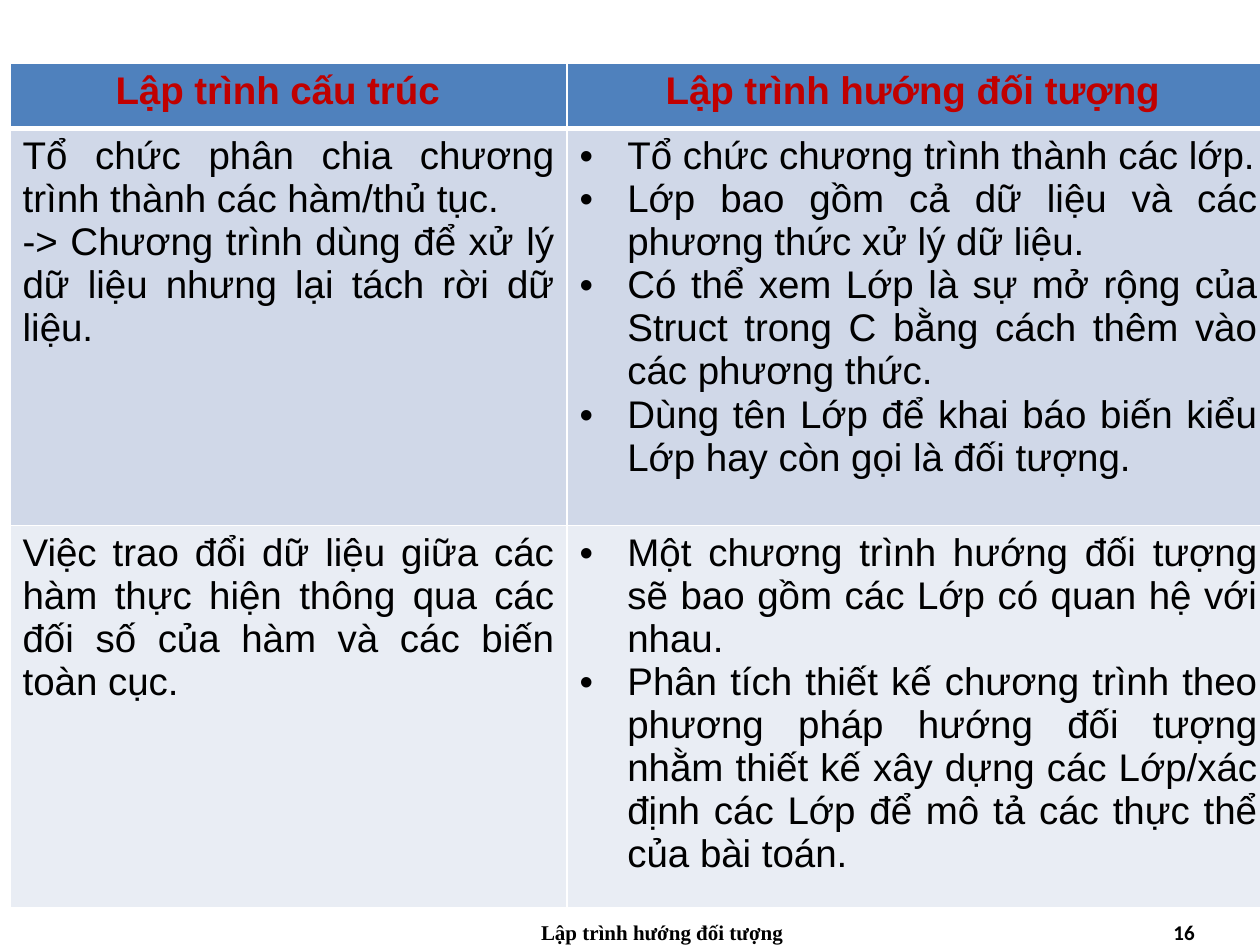
"""Build a slide comparing structured and object-oriented programming."""
import pptx
import pptx.dml.color
import pptx.enum.text
import pptx.oxml
import pptx.oxml.ns
import pptx.util
from dataclasses import dataclass

Inches = pptx.util.Inches
Pt = pptx.util.Pt
RGB = pptx.dml.color.RGBColor.from_string
ALIGN = pptx.enum.text.PP_ALIGN


@dataclass(frozen=True)
class Theme:
    font: str = "Arial"
    footer_font: str = "Times New Roman"
    number_font: str = "Calibri"
    text: str = "000000"
    heading: str = "C00000"
    border: str = "FFFFFF"
    fills: tuple = ("4F81BD", "D0D8E8", "E9EDF4")
    body_size: int = 22
    footer_size: int = 12


THEME = Theme()


def add_run(p, text, font, size, color, bold):
    r = p.add_run()
    r.text = text
    r.font.name = font
    r.font.size = Pt(size)
    r.font.bold = bold
    r.font.color.rgb = RGB(color)


def add_element(parent, xml):
    ns = pptx.oxml.ns.nsdecls("a")
    tag, rest = xml.split(" ", 1)
    parent.append(pptx.oxml.parse_xml(f"<{tag} {ns} {rest}"))


headings = ["Lập trình cấu trúc", "Lập trình hướng đối tượng"]
heading_margins = [0.27, 0.19]
rows = [
    [
        [
            "Tổ chức phân chia chương trình thành các hàm/thủ tục.",
            "-> Chương trình dùng để xử lý dữ liệu nhưng lại tách rời dữ liệu.",
        ],
        [
            "Tổ chức chương trình thành các lớp.",
            "Lớp bao gồm cả dữ liệu và các phương thức xử lý dữ liệu.",
            "Có thể xem Lớp là sự mở rộng của Struct trong C bằng cách thêm vào các phương thức.",
            "Dùng tên Lớp để khai báo biến kiểu Lớp hay còn gọi là đối tượng.",
        ],
    ],
    [
        [
            "Việc trao đổi dữ liệu giữa các hàm thực hiện thông qua các đối số của hàm và các biến toàn cục.",
        ],
        [
            "Một chương trình hướng đối tượng sẽ bao gồm các Lớp có quan hệ với nhau.",
            "Phân tích thiết kế chương trình theo phương pháp hướng đối tượng nhằm thiết kế xây dựng các Lớp/xác định các Lớp để mô tả các thực thể của bài toán.",
        ],
    ],
]
grid = [[[h] for h in headings]] + rows

prs = pptx.Presentation()
prs.slide_width = Inches(10)
prs.slide_height = Inches(7.5)
s = prs.slides.add_slide(prs.slide_layouts[6])

footers = [
    (3.67, 3.17, "Lập trình hướng đối tượng", ALIGN.CENTER, THEME.footer_font),
    (7.25, 2.33, "16", ALIGN.RIGHT, THEME.number_font),
]
for left, width, text, align, font in footers:
    sp = s.shapes.add_textbox(Inches(left), Inches(7.25), Inches(width), Inches(0.25))
    tf = sp.text_frame
    tf.word_wrap = True
    p = tf.paragraphs[0]
    p.alignment = align
    add_run(p, text, font, THEME.footer_size, THEME.text, True)

table = s.shapes.add_table(
    len(grid), len(headings), Inches(0.08), Inches(0.5), Inches(10), Inches(6.59)
).table
for column, width in zip(table.columns, (4.42, 5.58)):
    column.width = Inches(width)
for row, height in zip(table.rows, (0.52, 3.15, 2.92)):
    row.height = Inches(height)

for i, row in enumerate(grid):
    is_header = i == 0
    for j, texts in enumerate(row):
        cell = table.cell(i, j)
        tcPr = cell._tc.get_or_add_tcPr()
        for side in "LRTB":
            thick = (is_header and side == "B") or (i == 1 and side == "T")
            add_element(
                tcPr,
                f'a:ln{side} w="{Pt(3 if thick else 1)}"><a:solidFill>'
                f'<a:srgbClr val="{THEME.border}"/></a:solidFill></a:ln{side}>',
            )
        cell.fill.solid()
        cell.fill.fore_color.rgb = RGB(THEME.fills[i])
        if is_header:
            cell.margin_right = Inches(heading_margins[j])
        tf = cell.text_frame
        for k, text in enumerate(texts):
            p = tf.add_paragraph() if k else tf.paragraphs[0]
            p.alignment = ALIGN.CENTER if is_header else ALIGN.JUSTIFY
            if j == 1 and not is_header:
                pPr = p._p.get_or_add_pPr()
                pPr.set("marL", str(Inches(0.38)))
                pPr.set("indent", str(Inches(-0.38)))
                add_element(pPr, 'a:buFont typeface="Arial"/>')
                add_element(pPr, 'a:buChar char="•"/>')
            color = THEME.heading if is_header else THEME.text
            add_run(p, text, THEME.font, THEME.body_size, color, is_header)

prs.save("out.pptx")
